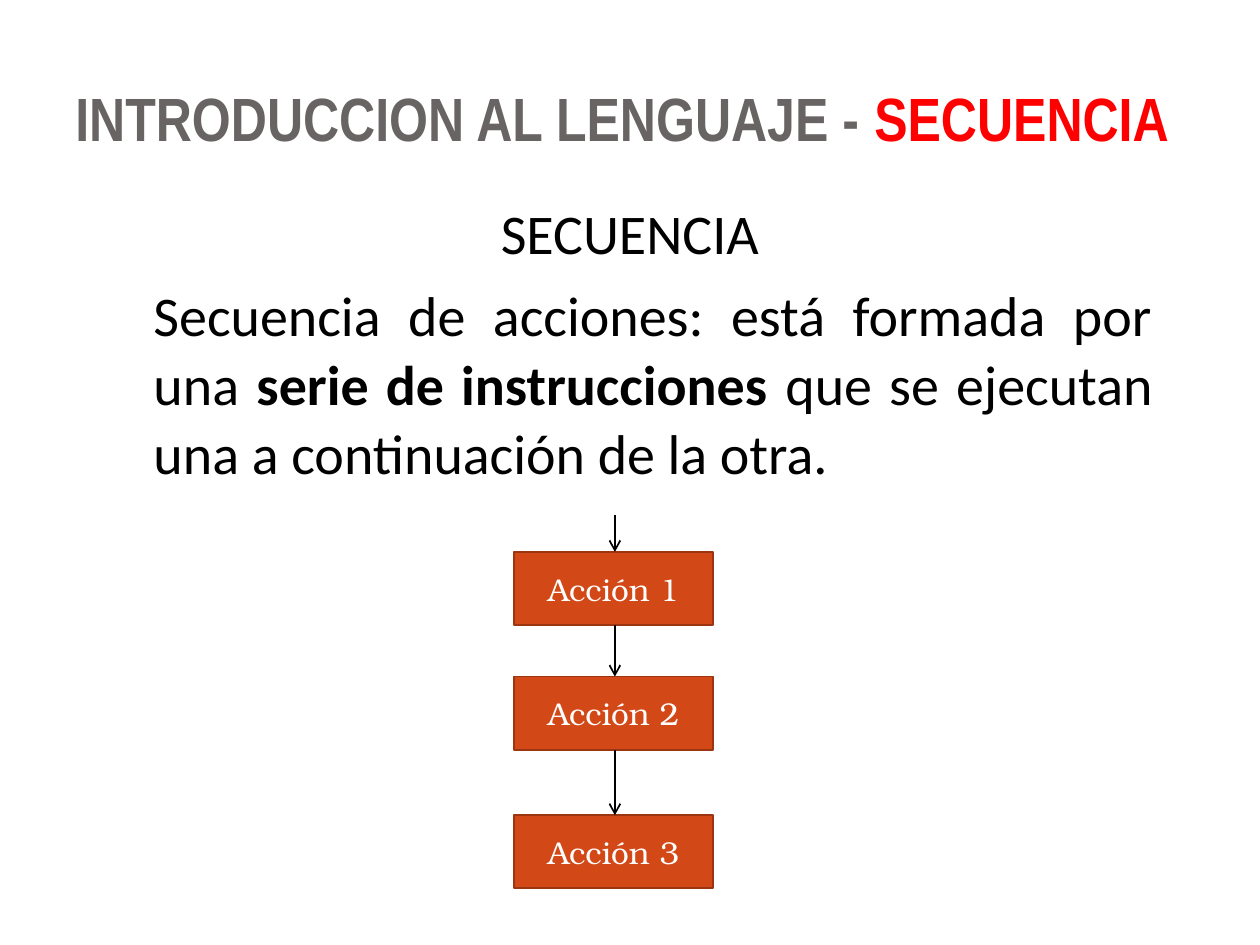
from lxml import etree
from pptx import Presentation
from pptx.dml.color import RGBColor
from pptx.enum.shapes import MSO_CONNECTOR, MSO_SHAPE
from pptx.enum.text import MSO_ANCHOR as Anchor, PP_ALIGN as Align
from pptx.oxml.ns import qn
from pptx.util import Inches, Pt

THEME = {
    "title": "696464", "accent": "FF0000", "body": "000000",
    "box": "D34817", "box_line": "9C3511", "box_text": "FFFFFF",
    "title_font": "Arial Narrow", "body_font": "Calibri", "box_font": "TeX Gyre Bonum",
    "title_size": 34.9, "body_size": 32, "box_size": 18, "line_width": 1,
}


def write_text(shape, runs, font, size, align=Align.LEFT, anchor=Anchor.TOP,
               line_spacing=None, space_before=0):
    """Fill a shape with one paragraph of (text, colour, bold) runs."""
    frame = shape.text_frame
    frame.word_wrap = True
    frame.vertical_anchor = anchor
    paragraph = frame.paragraphs[0]
    paragraph.alignment = align
    paragraph.line_spacing = line_spacing
    paragraph.space_before = Pt(space_before)
    for text, colour, bold in runs:
        run = paragraph.add_run()
        run.text = text
        run.font.name = font
        run.font.size = Pt(size)
        run.font.bold = bold
        run.font.color.rgb = RGBColor.from_string(colour)


def add_arrow(shapes, x, top, bottom):
    """Draw a downward arrow with an open head."""
    arrow = shapes.add_connector(MSO_CONNECTOR.STRAIGHT, Inches(x), Inches(top),
                                 Inches(x), Inches(bottom))
    arrow.line.color.rgb = RGBColor.from_string(THEME["body"])
    arrow.line.width = Pt(THEME["line_width"])
    etree.SubElement(arrow.line._get_or_add_ln(), qn("a:tailEnd"), type="arrow")
    etree.SubElement(arrow._element.spPr, qn("a:effectLst"))


presentation = Presentation()
presentation.slide_width = Inches(10)
presentation.slide_height = Inches(7.5)
slide = presentation.slides.add_slide(presentation.slide_layouts[6])
shapes = slide.shapes

title = shapes.add_textbox(Inches(0.5), Inches(0.54), Inches(9), Inches(0.78))
write_text(title, [("INTRODUCCION AL LENGUAJE - ", THEME["title"], True),
                   ("SECUENCIA", THEME["accent"], True)],
           THEME["title_font"], THEME["title_size"], anchor=Anchor.MIDDLE)

heading = shapes.add_textbox(Inches(0.75), Inches(1.5), Inches(8.5), Inches(0.67))
write_text(heading, [("SECUENCIA", THEME["body"], False)],
           THEME["body_font"], THEME["body_size"], align=Align.CENTER,
           anchor=Anchor.MIDDLE, line_spacing=1.02)

definition = shapes.add_textbox(Inches(1.12), Inches(2.17), Inches(8.13), Inches(1.9))
write_text(definition,
           [("Secuencia de acciones: está formada por una ", THEME["body"], False),
            ("serie de instrucciones ", THEME["body"], True),
            ("que se ejecutan una a continuación de la otra.", THEME["body"], False)],
           THEME["body_font"], THEME["body_size"], align=Align.JUSTIFY,
           line_spacing=1.02, space_before=8)

box_left, box_width, box_height = 4.08, 1.58, 0.58
arrow_x = 4.88
arrow_top = 4.09
for number, box_top in enumerate((4.38, 5.37, 6.47), start=1):
    box = shapes.add_shape(MSO_SHAPE.RECTANGLE, Inches(box_left), Inches(box_top),
                           Inches(box_width), Inches(box_height))
    box.shadow.inherit = False
    box.fill.solid()
    box.fill.fore_color.rgb = RGBColor.from_string(THEME["box"])
    box.line.color.rgb = RGBColor.from_string(THEME["box_line"])
    box.line.width = Pt(THEME["line_width"])
    write_text(box, [(f"Acción {number}", THEME["box_text"], False)],
               THEME["box_font"], THEME["box_size"], align=Align.CENTER,
               anchor=Anchor.MIDDLE)
    add_arrow(shapes, arrow_x, arrow_top, box_top)
    arrow_top = box_top + box_height

presentation.save("out.pptx")
